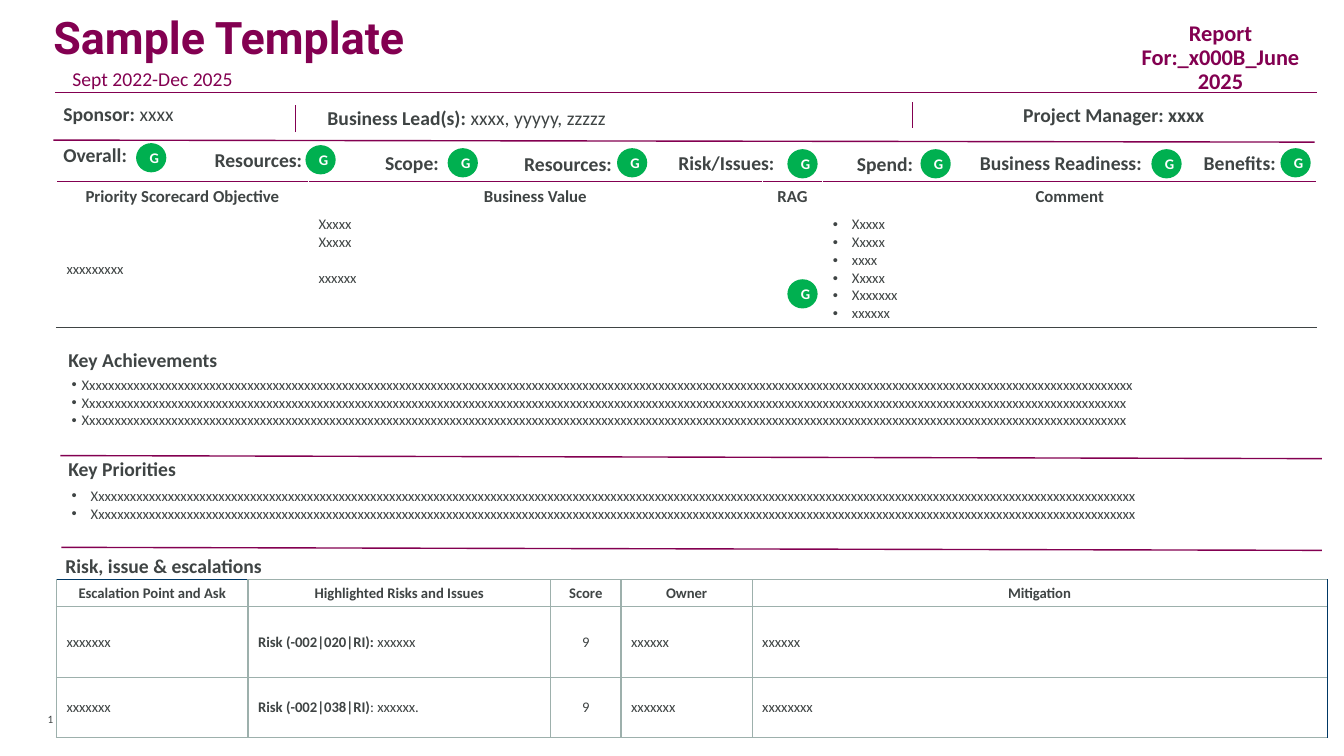
from dataclasses import dataclass

from lxml import etree
from pptx import Presentation, util as u
from pptx.dml.color import RGBColor
from pptx.enum import shapes as sh, text as tx
from pptx.oxml.ns import qn

PLUM, GREY, GREEN = "830051", "3F4444", "00B050"
SAGE, NAVY, WHITE = "9DB0AC", "003865", "FFFFFF"
LEFT, MID = tx.PP_ALIGN.LEFT, tx.PP_ALIGN.CENTER


@dataclass
class Label:
    x: float
    y: float
    w: float
    head: str
    tail: str = ""
    size: float = 14
    color: str = GREY
    bold: bool = True
    align: int = LEFT


@dataclass
class Status:
    name: str
    x: float
    y: float
    w: float
    dot_x: float
    dot_y: float


@dataclass
class Cell:
    head: str = ""
    tail: str = ""
    align: int = LEFT


# The grid has ten columns and ten rows to the inch
def grid(n: float) -> int:
    return u.Inches(n / 10)


def place(x: float, y: float, w: float, h: float) -> tuple:
    return grid(x), grid(y), grid(w), grid(h)


def rgb(code: str) -> RGBColor:
    return RGBColor.from_string(code)


def style(para, size: float, color: str = GREY, bold: bool = False,
          align: int = LEFT, face: str = "Calibri") -> None:
    font = para.font
    font.name, font.size, font.bold = face, u.Pt(size), bold
    font.color.rgb = rgb(color)
    para.alignment = align


def write(para, head: str, tail: str = "") -> None:
    para.add_run().text = head
    if tail:
        run = para.add_run()
        run.text, run.font.bold = tail, False


def bullet(para, gap: float) -> None:
    props = para._p.get_or_add_pPr()
    props.set("marL", str(grid(gap)))
    props.set("indent", str(-grid(gap)))
    etree.SubElement(props, qn("a:buFont")).set("typeface", "Arial")
    etree.SubElement(props, qn("a:buChar")).set("char", "•")


def pad(frame, left: float, top: float, right: float, low: float) -> None:
    frame.margin_left, frame.margin_top = grid(left), grid(top)
    frame.margin_right, frame.margin_bottom = grid(right), grid(low)


def label(slide, item: Label) -> None:
    box = slide.shapes.add_textbox(*place(item.x, item.y, item.w, 3.1))
    frame = box.text_frame
    frame.word_wrap = True
    frame.auto_size = tx.MSO_AUTO_SIZE.SHAPE_TO_FIT_TEXT
    para = frame.paragraphs[0]
    write(para, item.head, item.tail)
    style(para, item.size, item.color, item.bold, item.align)
    para.line_spacing, para.space_after = 0.9, u.Pt(6)


def badge(slide, x: float, y: float) -> None:
    dot = slide.shapes.add_shape(sh.MSO_SHAPE.OVAL, *place(x, y, 3, 2.9))
    dot.shadow.inherit = False
    dot.fill.solid()
    dot.fill.fore_color.rgb = rgb(GREEN)
    dot.line.fill.background()
    frame = dot.text_frame
    frame.word_wrap = False
    frame.vertical_anchor = tx.MSO_ANCHOR.MIDDLE
    pad(frame, 0.6, 0, 0, 0)
    frame.text = "G"
    style(frame.paragraphs[0], 10.5, WHITE, True, MID)


def rule(slide, x1: float, y1: float, x2: float, y2: float) -> None:
    line = slide.shapes.add_connector(
        sh.MSO_CONNECTOR.STRAIGHT, *place(x1, y1, x2, y2))
    line.line.color.rgb, line.line.width = rgb(PLUM), u.Pt(1)
    etree.SubElement(line._element.spPr, qn("a:effectLst"))


def points(box, spot: tuple, gap: float, items: list) -> None:
    box.left, box.top, box.width, box.height = place(*spot)
    frame = box.text_frame
    frame.auto_size = tx.MSO_AUTO_SIZE.NONE
    frame.text = "\n".join(items)
    for para in frame.paragraphs:
        style(para, 10.5)
        para.space_before = u.Pt(0)
        bullet(para, gap)


def border(cell, sides: dict) -> None:
    """Sides map L, R, T, B to (colour, points), given in that order."""
    props = cell._tc.get_or_add_tcPr()
    for i, (side, (color, width)) in enumerate(sides.items()):
        edge = etree.Element(qn("a:ln" + side), w=str(u.Pt(width)))
        fill = etree.SubElement(edge, qn("a:solidFill"))
        etree.SubElement(fill, qn("a:srgbClr")).set("val", color)
        props.insert(i, edge)


def table(slide, x: float, y: float, cols: list, rows: list):
    spot = place(x, y, sum(cols), sum(rows))
    grid_tab = slide.shapes.add_table(len(rows), len(cols), *spot).table
    grid_tab.first_row = grid_tab.horz_banding = False
    for col, w in zip(grid_tab.columns, cols):
        col.width = grid(w)
    for row, h in zip(grid_tab.rows, rows):
        row.height = grid(h)
    for cell in grid_tab.iter_cells():
        pad(cell, 1, 0.4, 1, 0.4)
        cell.vertical_anchor = tx.MSO_ANCHOR.MIDDLE
    return grid_tab


def score(slide) -> None:
    tab = table(slide, 5.6, 18, [25, 45, 6, 49], [3, 11.5])
    heads = ["Priority Scorecard Objective", "Business Value", "RAG", "Comment"]
    notes = ["xxxxxxxxx", "Xxxxx\nXxxxx\nxxxxxx", "",
             "Xxxxx\nXxxxx\nxxxx\nXxxxx\nXxxxxxx\nxxxxxx"]
    for i, (head, note) in enumerate(zip(heads, notes)):
        top, low = tab.cell(0, i), tab.cell(1, i)
        top.text, low.text = head, note
        style(top.text_frame.paragraphs[0], 12, GREY, True, MID)
        for para in low.text_frame.paragraphs:
            style(para, 10.5)
            if head == "Comment":
                bullet(para, 1.9)
        if i:
            low.vertical_anchor = tx.MSO_ANCHOR.TOP
        top.fill.background()
        low.fill.background()
        border(top, {"T": (PLUM, 1)})
        border(low, {"B": (GREY, 1)})
    tab.cell(1, 1).text_frame.paragraphs[2].space_before = u.Pt(12.8)


def risks(slide) -> None:
    heads = ["Escalation Point and Ask", "Highlighted Risks and Issues",
             "Score", "Owner", "Mitigation"]
    body = [
        [Cell(head, "", MID) for head in heads],
        [Cell("", "xxxxxxx"), Cell("Risk (-002|020|RI): ", "xxxxxx"),
         Cell("", "9", MID), Cell("", "xxxxxx"), Cell("", "xxxxxx")],
        [Cell("", "xxxxxxx"), Cell("Risk (-002|038|RI)", ": xxxxxx."),
         Cell("", "9", MID), Cell("", "xxxxxxx"), Cell("", "xxxxxxxx")],
    ]
    tab = table(slide, 5.6, 57.5, [19, 30, 7, 13, 57], [2.7, 7, 6])
    for r, row in enumerate(body):
        for c, item in enumerate(row):
            cell = tab.cell(r, c)
            para = cell.text_frame.paragraphs[0]
            if item.head:
                write(para, item.head, item.tail)
            else:
                para.add_run().text = item.tail
            style(para, 10.5, GREY, bool(item.head), item.align)
            cell.fill.solid()
            cell.fill.fore_color.rgb = rgb(WHITE)
            sides = {side: (SAGE, 1) for side in "LRTB"}
            if c == len(heads) - 1:
                sides["R"] = (NAVY, 0.5)
            if r == c == 0:
                sides["T"] = (NAVY, 0.5)
            border(cell, sides)


LABELS = [
    Label(5.3, 9.9, 23.9, "Sponsor: ", "xxxx"),
    Label(31.5, 10.3, 67.6, "Business Lead(s): ", "xxxx, yyyyy, zzzzz"),
    Label(100.5, 10, 32.8, "Project Manager: xxxx"),
    Label(110.7, 1.7, 20.7, "Report For:\vJune 2025", "", 16, PLUM, True, MID),
    Label(6.2, 6.4, 23, "Sept 2022-Dec 2025", "", 14, PLUM, False),
    Label(5.8, 34.3, 19, "Key Achievements"),
    Label(5.8, 45.1, 19, "Key Priorities"),
    Label(5.5, 54.7, 29.1, "Risk, issue & escalations"),
]
STATES = [
    Status("Overall:", 5.3, 13.9, 12.2, 13.5, 14.2),
    Status("Resources:", 20.3, 14.4, 14.4, 30.3, 14.4),
    Status("Scope:", 37.2, 14.7, 12.2, 44.4, 14.7),
    Status("Resources:", 51, 14.8, 13.8, 61.2, 14.7),
    Status("Risk/Issues:", 66.3, 14.7, 14.6, 78.1, 14.8),
    Status("Spend:", 84, 14.8, 9.6, 91.3, 14.8),
    Status("Business Readiness:", 96.2, 14.7, 22.6, 114.2, 14.8),
    Status("Benefits:", 118.4, 14.7, 12.2, 127, 14.7),
]
RULES = [(5.5, 9.2, 130.6, 9.2), (5.3, 13.9, 130.4, 14.1),
         (29.3, 13.1, 29.3, 10.4), (90.5, 12.7, 90.5, 10.1),
         (6, 45.2, 131.1, 45.5), (6.1, 54.3, 131.1, 54.6)]


def main() -> None:
    deck = Presentation()
    deck.slide_width, deck.slide_height = grid(133.3), grid(75)
    slide = deck.slides.add_slide(deck.slide_layouts[3])
    title, wins, goals = slide.placeholders

    # Title and lists
    title.left, title.top, title.width, title.height = place(5.3, 1.6, 120, 10)
    frame = title.text_frame
    frame.text = "Sample Template"
    frame.auto_size = tx.MSO_AUTO_SIZE.NONE
    frame.vertical_anchor = tx.MSO_ANCHOR.TOP
    pad(frame, 0, 0, 0, 0)
    style(frame.paragraphs[0], 32, PLUM, True, LEFT, "Roboto")
    frame.paragraphs[0].line_spacing = 0.9
    text = "X" + "x" * 164
    points(wins, (6.1, 36.8, 124.2, 9.8), 1, [text + "x", text, text])
    points(goals, (6.1, 47.8, 124.2, 7.6), 1.9, [text, text])

    # Tables, rules and labels
    score(slide)
    risks(slide)
    for ends in RULES:
        rule(slide, *ends)
    for item in LABELS:
        label(slide, item)

    # Status row and scorecard rating
    for state in STATES:
        label(slide, Label(state.x, state.y, state.w, state.name))
        badge(slide, state.dot_x, state.dot_y)
    badge(slide, 78.1, 27.7)

    # Page number
    page = slide.shapes.add_textbox(*place(0, 69.4, 5.3, 3.4)).text_frame
    page.word_wrap = True
    page.vertical_anchor = tx.MSO_ANCHOR.BOTTOM
    pad(page, 0, 0, 0, 0.8)
    page.text = "1"
    style(page.paragraphs[0], 8, GREY, False, tx.PP_ALIGN.RIGHT)
    deck.save("out.pptx")


if __name__ == "__main__":
    main()
